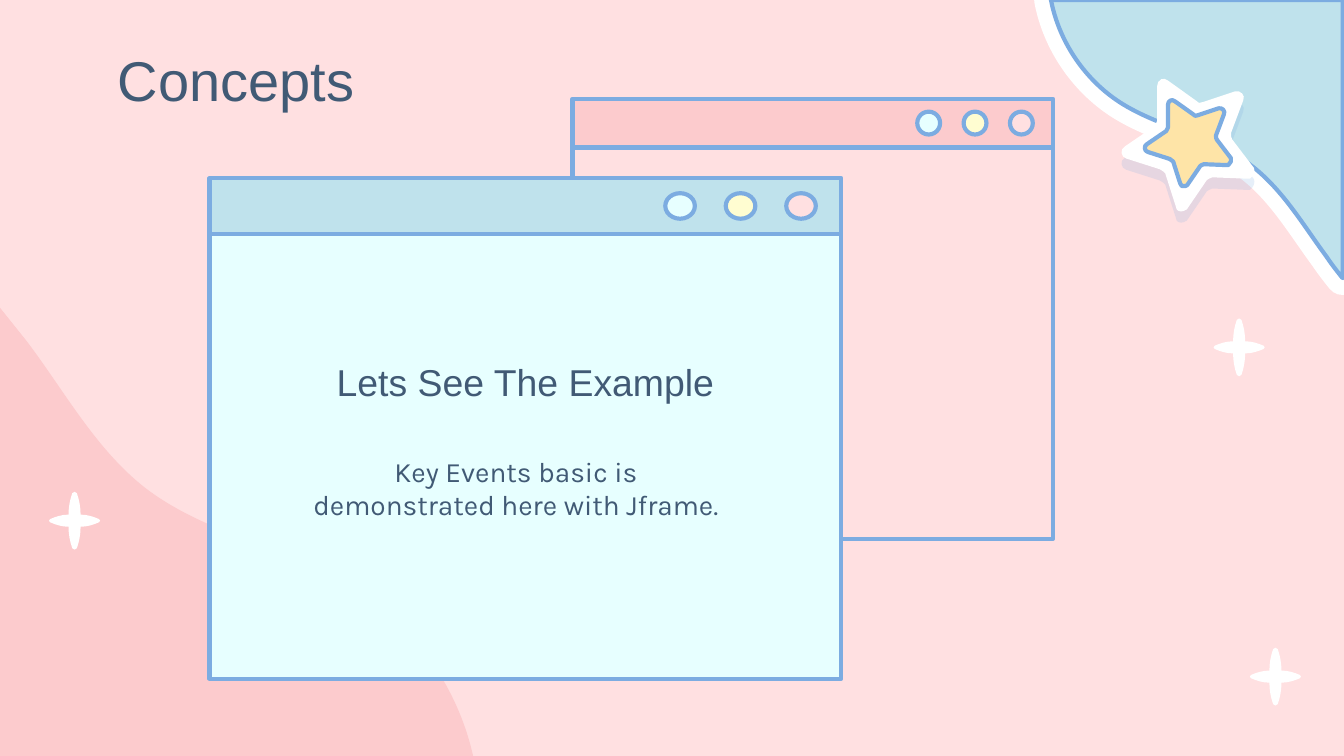
from dataclasses import dataclass
from typing import NamedTuple, Optional

from lxml.etree import Element, SubElement
from pptx import Presentation
from pptx.dml.color import RGBColor
from pptx.enum.shapes import MSO_SHAPE as Preset
from pptx.enum.text import MSO_ANCHOR as Anchor, PP_ALIGN as Align
from pptx.oxml.ns import qn
from pptx.util import Inches, Pt

# All lengths are cells of a grid of 100 columns by 56.25 rows.
COLUMNS, ROWS = 100, 56.25
CELL = Inches(10) / COLUMNS


@dataclass(frozen=True)
class Theme:
    blush: str = "FFE0E1"
    rose: str = "FCCBCD"
    ice: str = "E7FFFF"
    sky: str = "BFE2EC"
    cream: str = "FFFDD1"
    gold: str = "FEE4A7"
    white: str = "FFFFFF"
    outline: str = "7CACE1"
    ink: str = "415A75"
    heading_font: str = "Arial"
    body_font: str = "Karla"
    title_size: float = 30
    heading_size: float = 20
    body_size: float = 15
    line: float = 2.25
    halo: float = 18


THEME = Theme()


class Point(NamedTuple):
    x: float
    y: float


class Box(NamedTuple):
    left: float
    top: float
    width: float
    height: float


@dataclass(frozen=True)
class Window:
    frame: Box
    bar: float
    bar_fill: str
    body_fill: str
    dot: Point  # width and height of a button
    pitch: float
    margin: float


@dataclass(frozen=True)
class Caption:
    text: str
    box: Box
    font: str
    size: float
    align: Align = Align.CENTER
    anchor: Anchor = Anchor.TOP


# Outlines: a start, then lines (2 numbers) and Bezier curves (6 numbers).
HILL = [(0, 22.9), (2, 25.4), (4.8, 29.1, 7.1, 33.4, 10.8, 36.3),
        (15.5, 39.9, 21.8, 40.8, 26.8, 44), (31, 46.8, 34.1, 51.3, 35.2, ROWS),
        (0, ROWS)]
CORNER = [(78.2, 0), (78.8, 3.1, 80.7, 5.9, 83.3, 7.6),
          (86.4, 9.6, 90.3, 10.1, 93.2, 12.4), (95.5, 14.2, 97, 16.8, 98.7, 19.1),
          (99.1, 19.7, 99.5, 20.2, 99.9, 20.7), (99.9, 0)]
STAR = [(86.4, 5.9), (86.6, 5.8, 86.7, 5.9, 86.9, 6), (89, 7.5),
        (89.1, 7.7, 89.3, 7.7, 89.5, 7.6), (91.9, 6.8),
        (92.3, 6.7, 92.7, 7.1, 92.5, 7.5), (91.6, 9.9),
        (91.6, 10.1, 91.6, 10.3, 91.7, 10.4), (93.3, 12.5),
        (93.4, 12.7, 93.3, 13.1, 93, 13.3), (93, 13.3, 92.9, 13.3, 92.8, 13.3),
        (90.2, 13.2), (90, 13.2, 89.9, 13.4, 89.8, 13.4), (88.3, 15.6),
        (88.2, 15.6, 88.1, 15.7, 88.1, 15.7), (87.8, 15.8, 87.5, 15.7, 87.5, 15.4),
        (86.7, 12.9), (86.6, 12.8, 86.5, 12.7, 86.3, 12.6), (83.8, 11.8),
        (83.4, 11.7, 83.3, 11.1, 83.7, 10.9), (85.9, 9.4),
        (86, 9.3, 86, 9.2, 86.1, 9), (86.1, 6.4), (86.1, 6.2, 86.2, 6, 86.4, 5.9)]
STAR_CENTRE, STAR_CORE = Point(88.4, 10.4), 0.65
# Upper right quarter of a sparkle around its centre: curves only
SPARKLE = [(0, -2.15), (0.1, -2.15), (0.15, -2.1), (0.17, -2.05),
           (0.35, -1.55), (0.45, -1), (0.45, -0.45), (0.95, -0.45), (1.4, -0.3),
           (1.82, -0.12), (1.88, -0.1), (1.9, -0.05), (1.9, 0)]

BACK = Window(Box(42.6, 7.35, 35.75, 32.75), 3.62, THEME.rose, THEME.blush,
              Point(1.7, 1.7), 3.45, 1.5)
FRONT = Window(Box(15.6, 13.25, 47, 37.25), 4.15, THEME.sky, THEME.ice,
               Point(2.2, 1.9), 4.5, 1.9)

CAPTIONS = [
    Caption("Concepts", Box(7.8, 2.4, 84.4, 6.3), THEME.heading_font,
            THEME.title_size, align=Align.LEFT),
    Caption("Key Events basic is demonstrated here with Jframe.",
            Box(22.3, 32.8, 32.2, 9.6), THEME.body_font, THEME.body_size),
    Caption("Lets See The Example", Box(23, 26.5, 32.2, 4.6), THEME.heading_font,
            THEME.heading_size, anchor=Anchor.BOTTOM),
]


def emu(cells: float) -> int:
    return round(cells * CELL)


def pairs(part: tuple) -> list[Point]:
    return [Point(*part[i:i + 2]) for i in range(0, len(part), 2)]


def paint(shape, fill: str, line: Optional[str] = None, width: float = THEME.line) -> None:
    shape.shadow.inherit = False
    shape.fill.solid()
    shape.fill.fore_color.rgb = RGBColor.from_string(fill)
    if line is None:
        shape.line.fill.background()
        return
    shape.line.color.rgb = RGBColor.from_string(line)
    shape.line.width = Pt(width)
    if width == THEME.line:
        SubElement(shape.element.spPr.find(qn("a:ln")), qn("a:round"))


def draw_outline(page, outline: list[tuple], *style):
    """Build a freeform, then bend each run of three lines that stands for a curve."""
    start, *rest = [(emu(x), emu(y)) for part in outline for x, y in pairs(part)]
    builder = page.shapes.build_freeform(*start, scale=1.0)
    builder.add_line_segments(rest, close=True)
    shape = builder.convert_to_shape()
    lines = iter(list(shape.element.iter(qn("a:lnTo"))))
    for part in outline[1:]:
        legs = [next(lines) for _ in pairs(part)]
        if len(legs) == 3:
            curve = Element(qn("a:cubicBezTo"))
            legs[0].addprevious(curve)
            for leg in legs:
                curve.append(leg[0])
                leg.getparent().remove(leg)
    paint(shape, *style)
    return shape


def draw_preset(page, preset: Preset, box: Box, fill: str):
    shape = page.shapes.add_shape(preset, *map(emu, box))
    paint(shape, fill, THEME.outline)
    return shape


def draw_sparkle(page, centre: Point) -> None:
    right = SPARKLE + [(x, -y) for x, y in SPARKLE[-2::-1]]
    around = right + [(-x, y) for x, y in right[-2::-1]]
    start, *rest = [(centre.x + x, centre.y + y) for x, y in around]
    curves = [sum(rest[i:i + 3], ()) for i in range(0, len(rest), 3)]
    draw_outline(page, [start, *curves], THEME.white)


def draw_window(page, window: Window) -> None:
    left, top, width, height = window.frame
    draw_preset(page, Preset.RECTANGLE,
                Box(left, top + window.bar, width, height - window.bar), window.body_fill)
    bar = draw_preset(page, Preset.ROUND_2_SAME_RECTANGLE,
                      Box(left, top, width, window.bar), window.bar_fill)
    bar.adjustments[0] = bar.adjustments[1] = 0
    dot_top = top + (window.bar - window.dot.y) / 2
    first = left + width - window.margin - window.dot.x - 2 * window.pitch
    for place, fill in enumerate((THEME.ice, THEME.cream, THEME.blush)):
        draw_preset(page, Preset.OVAL,
                    Box(first + place * window.pitch, dot_top, *window.dot), fill)


def draw_caption(page, caption: Caption) -> None:
    frame = page.shapes.add_textbox(*map(emu, caption.box)).text_frame
    frame.word_wrap = True
    frame.vertical_anchor = caption.anchor
    frame.margin_left = frame.margin_right = emu(1)
    frame.margin_top = frame.margin_bottom = emu(1)
    para = frame.paragraphs[0]
    para.alignment = caption.align
    span = para.add_run()
    span.text = caption.text
    span.font.name = caption.font
    span.font.size = Pt(caption.size)
    span.font.color.rgb = RGBColor.from_string(THEME.ink)


def draw_star(page) -> None:
    star = draw_outline(page, STAR, THEME.white)
    effects = star.element.spPr.find(qn("a:effectLst"))
    shadow = SubElement(effects, qn("a:outerShdw"), dist=str(Pt(6)), dir="5400000",
                        algn="bl", rotWithShape="0")
    tint = SubElement(shadow, qn("a:srgbClr"), val=THEME.outline)
    SubElement(tint, qn("a:alpha"), val="19000")
    core = [tuple(STAR_CENTRE[i % 2] * (1 - STAR_CORE) + value * STAR_CORE
                  for i, value in enumerate(part)) for part in STAR]
    draw_outline(page, core, THEME.gold, THEME.outline)


def main() -> None:
    deck = Presentation()
    deck.slide_width, deck.slide_height = emu(COLUMNS), emu(ROWS)
    page = deck.slides.add_slide(deck.slide_layouts[6])
    page.background.fill.solid()
    page.background.fill.fore_color.rgb = RGBColor.from_string(THEME.blush)

    # Backdrop: hill, corner wave with its white halo, sparkles
    draw_outline(page, HILL, THEME.rose)
    draw_outline(page, CORNER, THEME.ice, THEME.white, THEME.halo)
    draw_outline(page, CORNER, THEME.sky, THEME.outline)
    for centre in (Point(5.55, 38.75), Point(94.9, 50.35)):
        draw_sparkle(page, centre)

    # Windows and their wording
    for window in (BACK, FRONT):
        draw_window(page, window)
    for caption in CAPTIONS:
        draw_caption(page, caption)

    # Decorations in front
    draw_star(page)
    draw_sparkle(page, Point(92.2, 25.85))
    deck.save("out.pptx")


if __name__ == "__main__":
    main()
